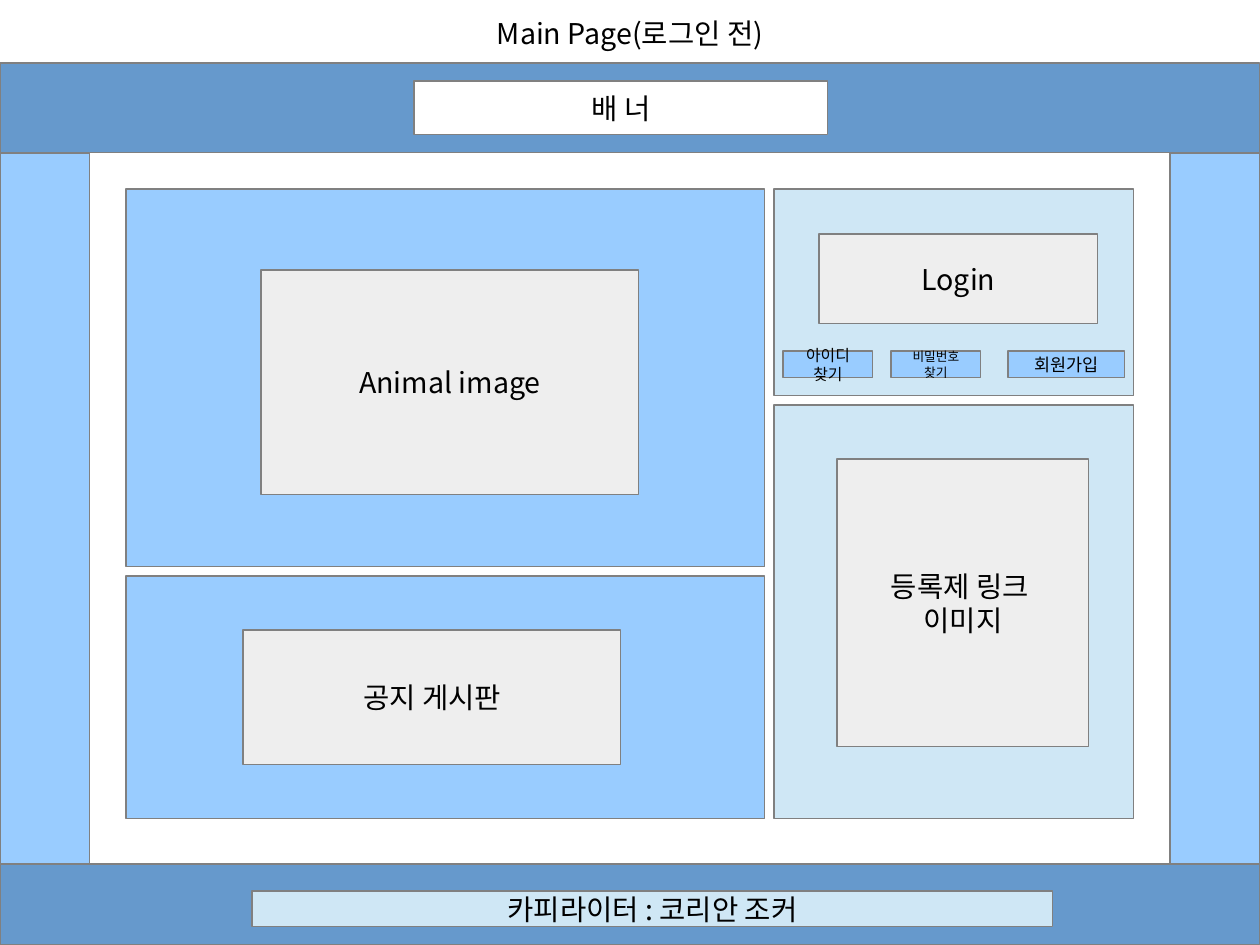
from dataclasses import dataclass

from pptx import Presentation
from pptx import util as u
from pptx.dml.color import RGBColor
from pptx.enum import shapes, text
from pptx.oxml import ns
from lxml import etree


@dataclass(frozen=True)
class Theme:
    font: str = "Noto Sans CJK KR"
    ink: str = "000000"
    outline: str = "808080"
    white: str = "FFFFFF"
    bar: str = "6699CC"
    blue: str = "99CCFF"
    pale: str = "CFE7F5"
    grey: str = "EEEEEE"
    body: int = 18
    join_size: int = 11
    id_size: int = 10
    password_size: int = 8


class Wireframe:
    def __init__(self, slide, theme):
        self.slide = slide
        self.theme = theme

    def set_text(self, shape, wording, size):
        """Fill a shape with centred text, one paragraph per line."""
        frame = shape.text_frame
        frame.word_wrap = True
        frame.text = wording
        for paragraph in frame.paragraphs:
            paragraph.alignment = text.PP_ALIGN.CENTER
            for run in paragraph.runs:
                run.font.size = u.Pt(size)
                run.font.name = self.theme.font
                run.font.color.rgb = RGBColor.from_string(self.theme.ink)
                east_asian = etree.SubElement(run.font._element, ns.qn("a:ea"))
                east_asian.set("typeface", self.theme.font)

    def box(self, left, top, width, height, fill, wording="", size=None):
        shape = self.slide.shapes.add_shape(
            shapes.MSO_SHAPE.RECTANGLE, *map(u.Pt, (left, top, width, height)))
        shape.shadow.inherit = False
        shape.fill.solid()
        shape.fill.fore_color.rgb = RGBColor.from_string(fill)
        shape.line.color.rgb = RGBColor.from_string(self.theme.outline)
        shape.line.width = u.Pt(0)
        if wording:
            shape.text_frame.vertical_anchor = text.MSO_ANCHOR.MIDDLE
            self.set_text(shape, wording, size or self.theme.body)

    def label(self, left, top, width, height, wording):
        shape = self.slide.shapes.add_textbox(*map(u.Pt, (left, top, width, height)))
        self.set_text(shape, wording, self.theme.body)
        shape.text_frame.auto_size = text.MSO_AUTO_SIZE.SHAPE_TO_FIT_TEXT


def main():
    page_width, page_height = 793.7, 595.28
    presentation = Presentation()
    presentation.slide_width = u.Pt(page_width)
    presentation.slide_height = u.Pt(page_height)
    slide = presentation.slides.add_slide(presentation.slide_layouts[6])
    theme = Theme()
    page = Wireframe(slide, theme)

    # Page frame
    header_top, header_height = 39.69, 56.69
    body_top, footer_top = header_top + header_height, 544.25
    side_width = 56.69
    page.label(289.13, 6.5, 215.43, 33.1, "Main Page(로그인 전)")
    page.box(0, header_top, page_width, header_height, theme.bar)
    for left in (0, page_width - side_width):
        page.box(left, body_top, side_width, footer_top - body_top, theme.blue)
    page.box(0, footer_top, page_width, page_height - footer_top, theme.bar)

    # Two columns of panels with one common gap
    gap, panel_top = 5.67, 119.06
    columns = (
        (79.37, 402.52, theme.blue, (238.11, 153.07)),
        (487.56, 226.77, theme.pale, (130.39, 260.79)),
    )
    for left, width, fill, heights in columns:
        top = panel_top
        for height in heights:
            page.box(left, top, width, height, fill)
            top += height + gap

    # Content
    for left, top, width, height, wording in (
        (515.91, 147.4, 175.75, 56.69, "Login"),
        (164.41, 170.08, 238.11, 141.73, "Animal image"),
        (153.07, 396.85, 238.11, 85.04, "공지 게시판"),
        (527.24, 289.13, 158.74, 181.42, "등록제 링크 \n이미지"),
    ):
        page.box(left, top, width, height, theme.grey, wording)
    page.box(260.79, 51.02, 260.79, 34.02, theme.white, "배 너")
    page.box(158.74, 561.26, 504.57, 22.68, theme.pale, "카피라이터 : 코리안 조커")

    # Account buttons
    for left, width, wording, size in (
        (493.23, 56.69, "아이디 찾기", theme.id_size),
        (561.26, 56.69, "비밀번호 찾기", theme.password_size),
        (634.96, 73.7, "회원가입", theme.join_size),
    ):
        page.box(left, 221.1, width, 17.01, theme.blue, wording, size)

    presentation.save("out.pptx")


if __name__ == "__main__":
    main()
